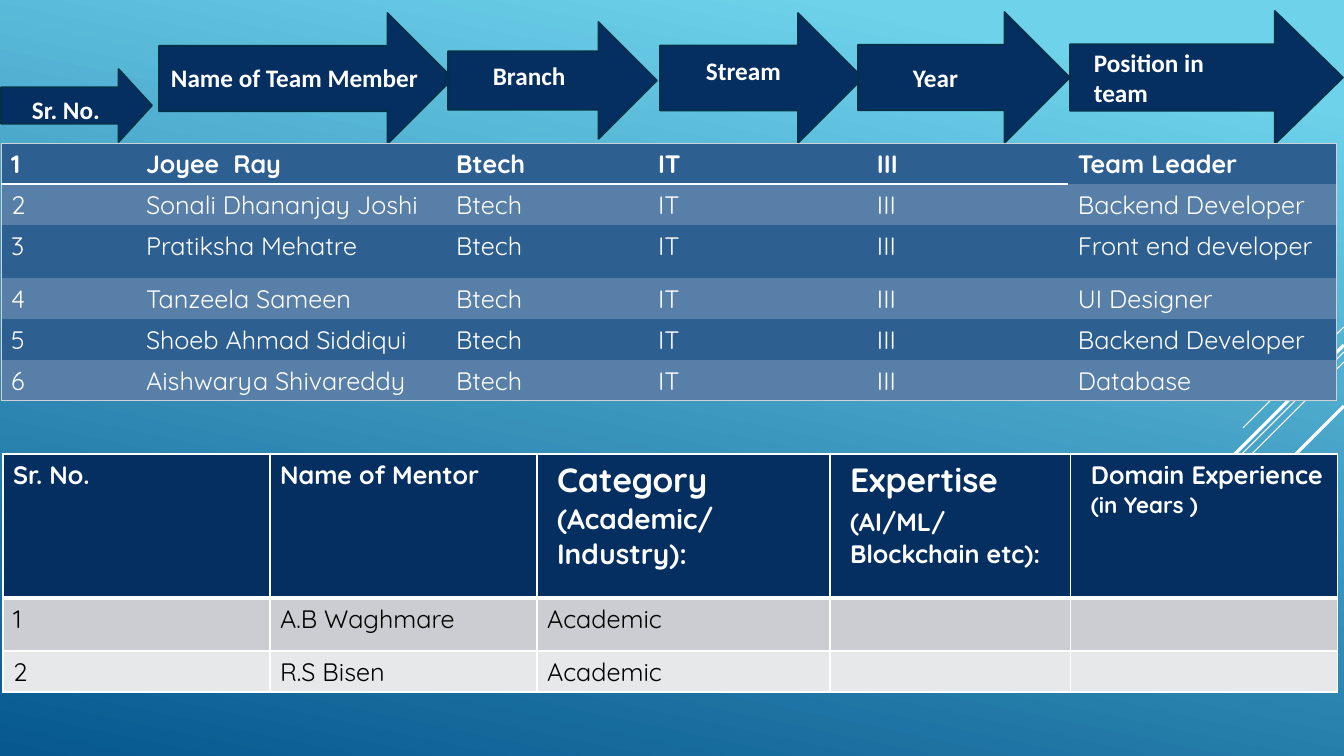
from lxml import etree
from pptx import Presentation
from pptx import util as u
from pptx.dml.color import RGBColor
from pptx.enum import shapes
from pptx.oxml.ns import qn

EMU_PER_PX = 914400 / 100.8
WIDTH, HEIGHT = 1344, 756
NAVY, WHITE, BLACK, OUTLINE = "052F61", "FFFFFF", "000000", "043148"
PALE_EDGE = ("CFD1D5", 0.75, 60)
PLAIN_STYLE = "{2D5ABB26-0587-4C30-8999-92F81FD0307C}"

HEADINGS = [
    ("Sr. No.", (1, 69, 151, 73), 0.458, (22, 89, 109, 71)),
    ("Name of Team Member", (159, 13, 294, 131), 0.5, (161, 57, 286, 71)),
    ("Branch", (448, 22, 209, 117), 0.5, (483, 55, 260, 71)),
    ("Stream", (660, 13, 203, 130), 0.5, (696, 50, 96, 40)),
    ("Year", (858, 12, 212, 131), 0.5, (903, 57, 232, 71)),
    ("Position in team", (1070, 11, 273, 133), 0.512, (1084, 42, 174, 102)),
]
MEMBERS = [
    ("Joyee  Ray", "Team Leader"),
    ("Sonali Dhananjay Joshi", "Backend Developer"),
    ("Pratiksha Mehatre", "Front end developer"),
    ("Tanzeela Sameen", "UI Designer"),
    ("Shoeb Ahmad Siddiqui", "Backend Developer"),
    ("Aishwarya Shivareddy", "Database"),
]
MENTOR_HEADINGS = [
    [("Sr. No.", 18, 0, 0)],
    [("Name of Mentor", 18, 0, 0)],
    [("Category", 24, 2.5, 10), ("(Academic/", 20, 0.2, 10), ("Industry):", 20, 0.2, 10)],
    [("Expertise", 24, 2.5, 10), ("(AI/ML/Blockchain etc):", 18, 4, 10)],
    [("Domain Experience", 18, 2.5, 10), ("(in Years )", 16, 0.2, 10)],
]
MENTORS = ["A.B Waghmare", "R.S Bisen"]
STREAKS = [(327, 101, 0.75), (352, 329, 0.75), (362, 209, 0.75), (345, 193, 2.25), (406, 140, 2.25)]


def px(length):
    return u.Emu(round(length * EMU_PER_PX))


def rgb(hex_colour):
    return RGBColor.from_string(hex_colour)


class TeamSlide:
    """Holds the slide and draws its kinds of element in one style."""

    def __init__(self, slide):
        self.slide = slide

    def background(self, top, bottom):
        fill = self.slide.background.fill
        fill.gradient()
        fill.gradient_angle = 258
        for stop, colour, position in zip(fill.gradient_stops, (top, bottom), (0.1, 1)):
            stop.color.rgb = rgb(colour)
            stop.position = position

    def streak(self, start_y, reach, weight):
        streak = self.slide.shapes.add_connector(
            shapes.MSO_CONNECTOR.STRAIGHT, px(WIDTH), px(start_y), px(WIDTH - reach), px(start_y + reach))
        streak.line.color.rgb = rgb(WHITE)
        streak.line.width = u.Pt(weight)
        etree.SubElement(streak.element.spPr, qn("a:effectLst"))

    def arrow(self, box, head):
        arrow = self.slide.shapes.add_shape(shapes.MSO_SHAPE.RIGHT_ARROW, *map(px, box))
        arrow.adjustments[1] = head
        arrow.shadow.inherit = False
        arrow.fill.solid()
        arrow.fill.fore_color.rgb = rgb(NAVY)
        arrow.line.color.rgb = rgb(OUTLINE)
        arrow.line.width = u.Pt(1.25)

    def label(self, words, box):
        frame = self.slide.shapes.add_textbox(*map(px, box)).text_frame
        frame.word_wrap = True
        frame.text = words
        self.style(frame.paragraphs[0], 18, WHITE, True, "Calibri")

    def style(self, paragraph, size, colour, bold, face="Quicksand"):
        for run in paragraph.runs:
            run.font.size = u.Pt(size)
            run.font.name = face
            run.font.bold = bold
            run.font.color.rgb = rgb(colour)

    def table(self, left, top, columns, rows):
        frame = self.slide.shapes.add_table(
            len(rows), len(columns), px(left), px(top), px(sum(columns)), px(sum(rows)))
        table = frame.table
        table.first_row = table.horz_banding = False
        next(frame.element.iter(qn("a:tableStyleId"))).text = PLAIN_STYLE
        for column, width in zip(table.columns, columns):
            column.width = px(width)
        for row, height in zip(table.rows, rows):
            row.height = px(height)
        return table

    def cell(self, cell, lines, fill, colour, bold, edges):
        frame = cell.text_frame
        frame.text = "\n".join(line[0] for line in lines)
        for paragraph, (_, size, before, indent) in zip(frame.paragraphs, lines):
            self.style(paragraph, size, colour, bold)
            if before:
                paragraph.space_before = u.Pt(before)
                paragraph._p.get_or_add_pPr().set("marL", str(px(indent)))
        properties = cell._tc.get_or_add_tcPr()
        for side in "LRTB":
            if side in edges:
                edge_colour, weight, opacity = edges[side]
                line = etree.SubElement(properties, qn(f"a:ln{side}"), w=str(u.Pt(weight)))
                solid = etree.SubElement(line, qn("a:solidFill"))
                tint = etree.SubElement(solid, qn("a:srgbClr"), val=edge_colour)
                etree.SubElement(tint, qn("a:alpha"), val=str(opacity * 1000))
        cell.fill.solid()
        cell.fill.fore_color.rgb = rgb(fill)

    def members(self):
        table = self.table(1, 143, [135, 310, 202, 219, 201, 269], [41, 41, 53, 41, 41, 41])
        last_row, last_column = len(MEMBERS) - 1, 5
        for r, (member, position) in enumerate(MEMBERS):
            for c, words in enumerate((str(r + 1), member, "Btech", "IT", "III", position)):
                outer = {"L": c == 0, "R": c == last_column, "T": r == 0, "B": r == last_row}
                edges = {side: PALE_EDGE for side, shown in outer.items() if shown}
                if r == 0 and c < last_column:
                    edges["B"] = (WHITE, 2.25, 100)
                self.cell(table.cell(r, c), [(words, 18, 0, 0)], ("2E5F91", "587FA7")[r % 2],
                          WHITE, r == 0, edges)

    def mentors(self):
        table = self.table(3, 454, [267, 267, 293, 241, 267], [144, 53, 41])
        grid = dict.fromkeys("LRTB", (WHITE, 1, 100))
        heavy = (WHITE, 3, 100)
        for c, lines in enumerate(MENTOR_HEADINGS):
            self.cell(table.cell(0, c), lines, NAVY, WHITE, True, {**grid, "B": heavy})
        for r, mentor in enumerate(MENTORS, 1):
            edges = {**grid, "T": heavy} if r == 1 else grid
            for c, words in enumerate((str(r), mentor, "Academic", "", "")):
                self.cell(table.cell(r, c), [(words, 18, 0, 0)], ("E7E8EA", "CCCDD2")[r % 2],
                          BLACK, False, edges)


def main():
    deck = Presentation()
    deck.slide_width, deck.slide_height = px(WIDTH), px(HEIGHT)
    team = TeamSlide(deck.slides.add_slide(deck.slide_layouts[6]))
    team.background("6ED2EB", "06588E")
    for streak in STREAKS:
        team.streak(*streak)
    for words, arrow_box, head, label_box in HEADINGS:
        team.arrow(arrow_box, head)
        team.label(words, label_box)
    team.members()
    team.mentors()
    deck.save("out.pptx")


if __name__ == "__main__":
    main()
